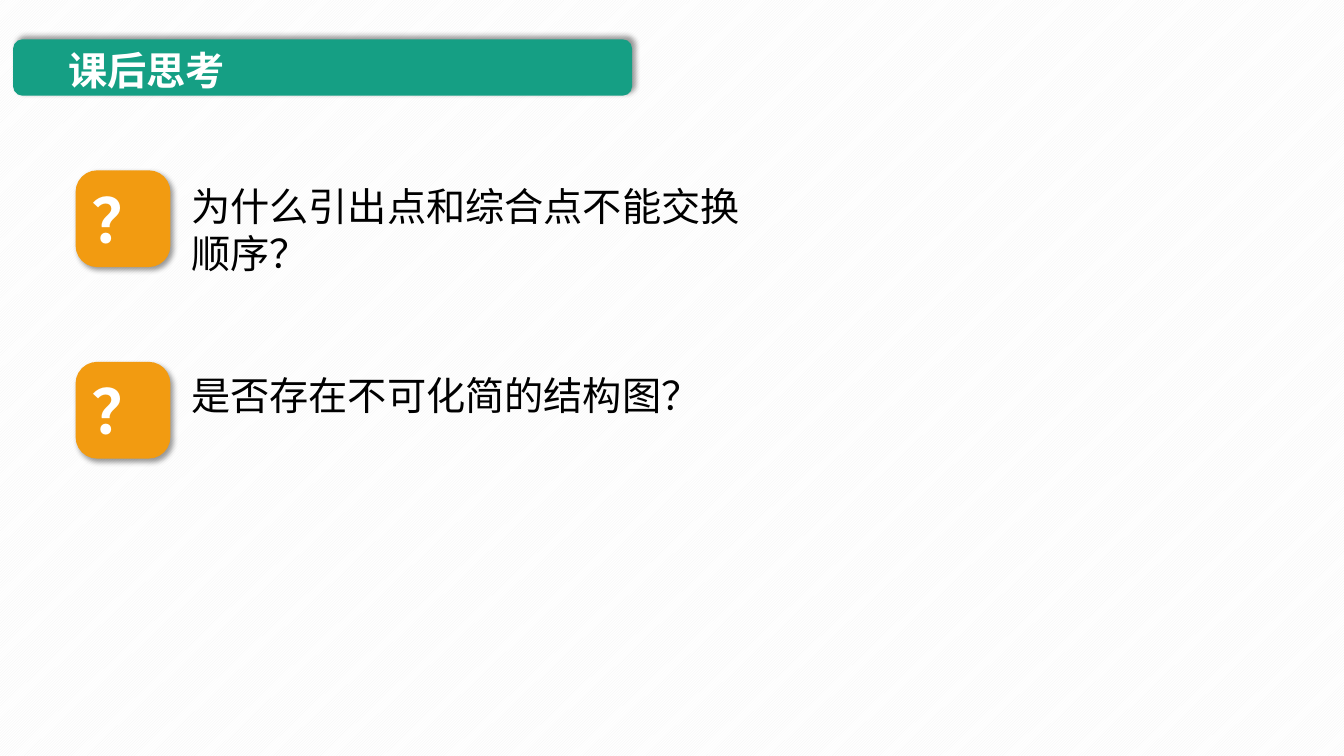
import pptx
import pptx.dml.color
import pptx.enum.dml
import pptx.enum.shapes
import pptx.enum.text
import pptx.oxml
import pptx.oxml.ns
import pptx.util
from pptx.util import Inches

GREEN, ORANGE, WHITE, BLACK = "159F84", "F29B11", "FFFFFF", "000000"
CHINESE_FONT, MARK_FONT = "Noto Sans CJK SC", "Calibri"
QUESTIONS = [
    (1.69, 1.72, 1.04, "为什么引出点和综合点不能交换顺序？"),
    (3.59, 3.59, 0.57, "是否存在不可化简的结构图？"),
]


def color(value):
    return pptx.dml.color.RGBColor.from_string(value)


class ReviewSlide:
    def __init__(self, presentation):
        self.slide = presentation.slides.add_slide(presentation.slide_layouts[6])

    def background(self, foreground, back):
        fill = self.slide.background.fill
        fill.patterned()
        fill.pattern = pptx.enum.dml.MSO_PATTERN.LIGHT_UPWARD_DIAGONAL
        fill.fore_color.rgb = color(foreground)
        fill.back_color.rgb = color(back)

    def rounded_box(self, left, top, width, height, fill, angle, corner=0.1667):
        """Add a rounded rectangle whose shadow falls towards angle, in degrees."""
        shape = self.slide.shapes.add_shape(
            pptx.enum.shapes.MSO_SHAPE.ROUNDED_RECTANGLE,
            Inches(left), Inches(top), Inches(width), Inches(height))
        shape.adjustments[0] = corner
        shape.fill.solid()
        shape.fill.fore_color.rgb = color(fill)
        shape.line.fill.background()
        shape.shadow.inherit = False
        effects = shape._element.spPr.find(pptx.oxml.ns.qn("a:effectLst"))
        effects.append(pptx.oxml.parse_xml(
            f'<a:outerShdw {pptx.oxml.ns.nsdecls("a")} blurRad="{pptx.util.Pt(4)}" '
            f'dist="{pptx.util.Pt(3)}" dir="{angle * 60000}" algn="ctr" rotWithShape="0">'
            f'<a:srgbClr val="{BLACK}"><a:alpha val="40000"/></a:srgbClr></a:outerShdw>'))
        return shape

    def fill_text(self, shape, text, size, font, font_color, bold=False):
        text_frame = shape.text_frame
        text_frame.word_wrap = True
        text_frame.text = text
        paragraph = text_frame.paragraphs[0]
        paragraph.alignment = pptx.enum.text.PP_ALIGN.LEFT
        for run in paragraph.runs:
            run.font.name = font
            run.font.size = pptx.util.Pt(size)
            run.font.bold = bold
            run.font.color.rgb = color(font_color)
            latin = run._r.rPr.find(pptx.oxml.ns.qn("a:latin"))
            latin.addnext(pptx.oxml.parse_xml(
                f'<a:ea {pptx.oxml.ns.nsdecls("a")} typeface="{font}"/>'))

    def text(self, left, top, width, height, text, font_color, bold=False):
        box = self.slide.shapes.add_textbox(
            Inches(left), Inches(top), Inches(width), Inches(height))
        self.fill_text(box, text, 28, CHINESE_FONT, font_color, bold)
        box.text_frame.margin_top = Inches(0.09)
        box.text_frame.margin_bottom = Inches(0)
        box.text_frame.paragraphs[0].line_spacing = pptx.util.Pt(33.6)

    def question_mark(self, top):
        shape = self.rounded_box(0.75, top, 0.94, 0.96, ORANGE, 45, 0.227)
        self.fill_text(shape, "？", 44, MARK_FONT, WHITE, bold=True)
        shape.text_frame.vertical_anchor = pptx.enum.text.MSO_ANCHOR.MIDDLE


def main():
    presentation = pptx.Presentation()
    presentation.slide_width = Inches(13.33)
    presentation.slide_height = Inches(7.5)
    review = ReviewSlide(presentation)
    review.background("F2F2F2", WHITE)
    review.rounded_box(0.13, 0.39, 6.14, 0.56, GREEN, 315)
    review.text(0.58, 0.37, 5.37, 0.57, "课后思考", WHITE, bold=True)
    for mark_top, text_top, height, question in QUESTIONS:
        review.question_mark(mark_top)
        review.text(1.8, text_top, 5.73, height, question, BLACK)
    presentation.save("out.pptx")


if __name__ == "__main__":
    main()
